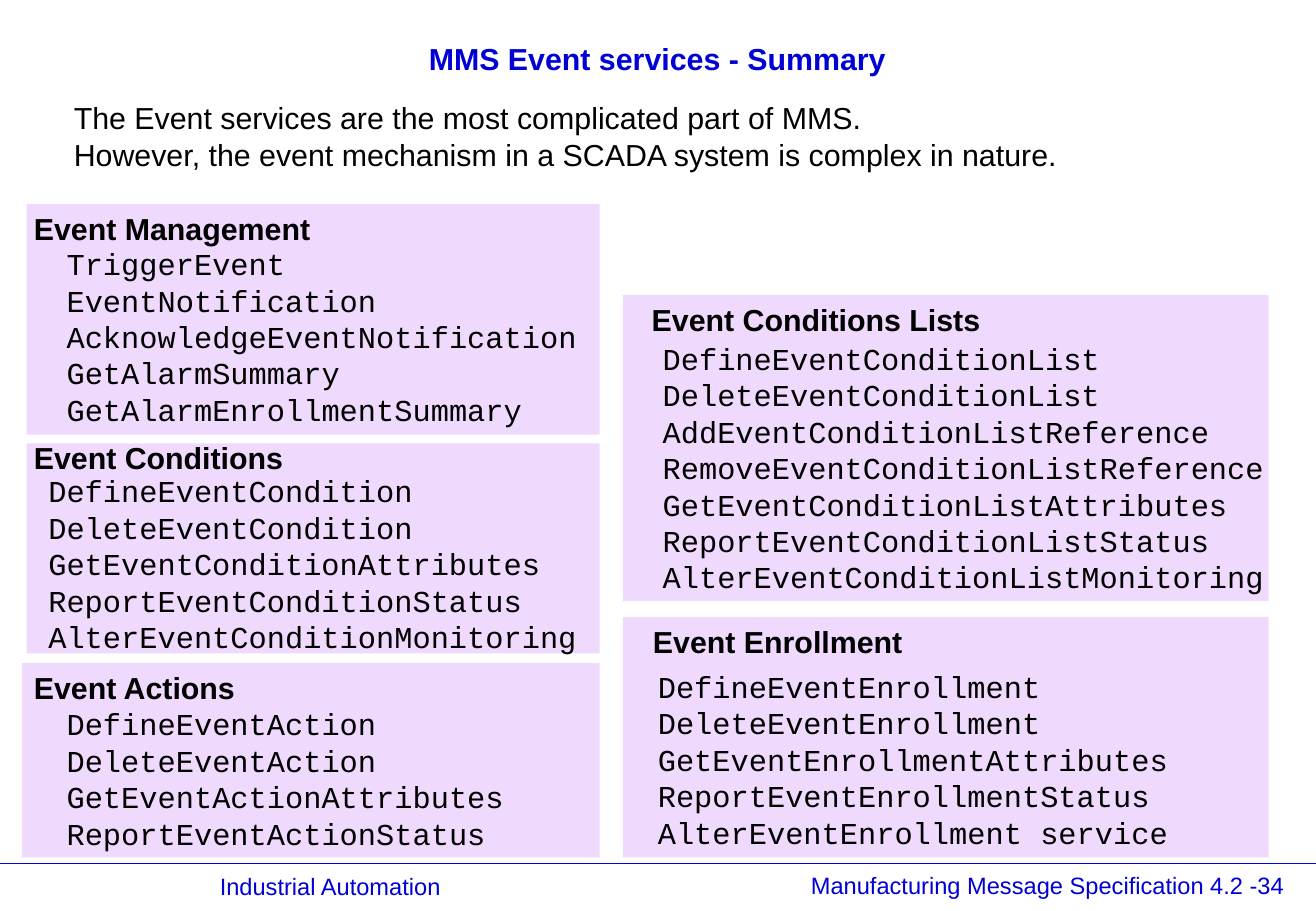
from dataclasses import dataclass

from lxml.etree import SubElement
from pptx import Presentation
from pptx.dml.color import RGBColor
from pptx.enum.shapes import MSO_CONNECTOR, MSO_SHAPE
from pptx.enum.text import MSO_ANCHOR, MSO_AUTO_SIZE, PP_ALIGN
from pptx.oxml.ns import qn
from pptx.util import Pt


@dataclass(frozen=True)
class Theme:
    blue: RGBColor = RGBColor(0x00, 0x00, 0xD4)
    rule: RGBColor = RGBColor(0x00, 0x00, 0xE0)
    panel: RGBColor = RGBColor(0xEF, 0xDA, 0xFE)
    ink: RGBColor = RGBColor(0x00, 0x00, 0x00)
    sans: str = "Arial"
    mono: str = "Courier New"
    body_size: int = 18
    footer_size: int = 14
    tight: float = 0.87


@dataclass(frozen=True)
class ServiceGroup:
    panel: tuple
    heading: str
    heading_at: tuple
    services_at: tuple
    services: tuple


THEME = Theme()
PAGE_WIDTH, PAGE_HEIGHT = 780.48, 540
LINE_HEIGHT = 21.6
HEADING_WIDTH, HEADING_HEIGHT = 240, 28.8
INSET = 7.2

GROUPS = (
    ServiceGroup(
        (15.84, 120.96, 339.84, 136.8),
        "Event Management", (12.96, 120.96), (32.4, 141.84, 323.28),
        ("TriggerEvent", "EventNotification", "AcknowledgeEventNotification",
         "GetAlarmSummary", "GetAlarmEnrollmentSummary"),
    ),
    ServiceGroup(
        (15.84, 262.8, 339.84, 124.56),
        "Event Conditions", (12.96, 257.04), (21.6, 276.48, 329.04),
        ("DefineEventCondition", "DeleteEventCondition",
         "GetEventConditionAttributes", "ReportEventConditionStatus",
         "AlterEventConditionMonitoring"),
    ),
    ServiceGroup(
        (12.96, 393.12, 342.72, 115.2),
        "Event Actions", (12.96, 393.12), (32.4, 414.72, 289.44),
        ("DefineEventAction", "DeleteEventAction",
         "GetEventActionAttributes", "ReportEventActionStatus"),
    ),
    ServiceGroup(
        (369.36, 174.96, 383.04, 181.44),
        "Event Conditions Lists", (379.44, 174.96), (385.92, 198, 390.24),
        ("DefineEventConditionList", "DeleteEventConditionList",
         "AddEventConditionListReference", "RemoveEventConditionListReference",
         "GetEventConditionListAttributes", "ReportEventConditionListStatus",
         "AlterEventConditionListMonitoring"),
    ),
    ServiceGroup(
        (369.36, 365.76, 383.04, 142.56),
        "Event Enrollment", (380.16, 365.76), (383.04, 392.4, 390.24),
        ("DefineEventEnrollment", "DeleteEventEnrollment",
         "GetEventEnrollmentAttributes", "ReportEventEnrollmentStatus",
         "AlterEventEnrollment service"),
    ),
)


def style(para, color, size=THEME.body_size, name=THEME.sans, bold=False):
    para.font.name = name
    para.font.size = Pt(size)
    para.font.bold = bold
    para.font.color.rgb = color


def add_text(page, bounds, lines, **font):
    box = page.shapes.add_textbox(*map(Pt, bounds))
    frame = box.text_frame
    frame.word_wrap = True
    frame.auto_size = MSO_AUTO_SIZE.SHAPE_TO_FIT_TEXT
    for index, line in enumerate(lines):
        para = frame.paragraphs[0] if index == 0 else frame.add_paragraph()
        para.text = line
        style(para, THEME.ink, **font)


def add_panel(page, bounds):
    panel = page.shapes.add_shape(MSO_SHAPE.RECTANGLE, *map(Pt, bounds))
    panel.shadow.inherit = False
    panel.fill.solid()
    panel.fill.fore_color.rgb = THEME.panel
    panel.line.fill.background()


def add_group(page, group):
    add_panel(page, group.panel)
    add_text(page, (*group.heading_at, HEADING_WIDTH, HEADING_HEIGHT),
             [group.heading], bold=True)
    height = len(group.services) * LINE_HEIGHT + INSET
    add_text(page, (*group.services_at, height), group.services, name=THEME.mono)


def fill_tight(shape, text, align, **font):
    frame = shape.text_frame
    frame.word_wrap = True
    frame.auto_size = MSO_AUTO_SIZE.NONE
    frame.vertical_anchor = MSO_ANCHOR.MIDDLE
    para = frame.paragraphs[0]
    para.text = text
    para.alignment = align
    para.line_spacing = THEME.tight
    style(para, THEME.blue, **font)


def set_title(page, text):
    title = page.shapes.title
    title.left, title.top, title.width, title.height = map(
        Pt, (12.96, 15.84, 753.84, 40.32))
    fill_tight(title, text, PP_ALIGN.CENTER, bold=True)


def add_footer(page, bounds, text):
    box = page.shapes.add_textbox(*map(Pt, bounds))
    fill_tight(box, text, PP_ALIGN.RIGHT, size=THEME.footer_size)


def add_rule(page, top):
    rule = page.shapes.add_connector(
        MSO_CONNECTOR.STRAIGHT, Pt(0), Pt(top), Pt(PAGE_WIDTH), Pt(top))
    rule.element.remove(rule.element.find(qn("p:style")))
    rule.line.fill.solid()
    rule.line.fill.fore_color.rgb = THEME.rule
    rule.line.width = Pt(1)
    SubElement(rule.element.spPr, qn("a:effectLst"))


def main():
    deck = Presentation()
    deck.slide_width, deck.slide_height = Pt(PAGE_WIDTH), Pt(PAGE_HEIGHT)
    page = deck.slides.add_slide(deck.slide_layouts[5])
    set_title(page, "MMS Event services - Summary")
    add_footer(page, (420.48, 516.96, 348.48, 18),
               "Manufacturing Message Specification 4.2 -34")
    add_footer(page, (15.12, 516.24, 253.44, 20.16), "Industrial Automation")
    add_rule(page, 511.92)
    for group in GROUPS:
        add_group(page, group)
    add_text(page, (36.72, 55.44, 620, 50.4), [
        "The Event services are the most complicated part of MMS.",
        "However, the event mechanism in a SCADA system is complex in nature.",
    ])
    deck.save("out.pptx")


if __name__ == "__main__":
    main()
